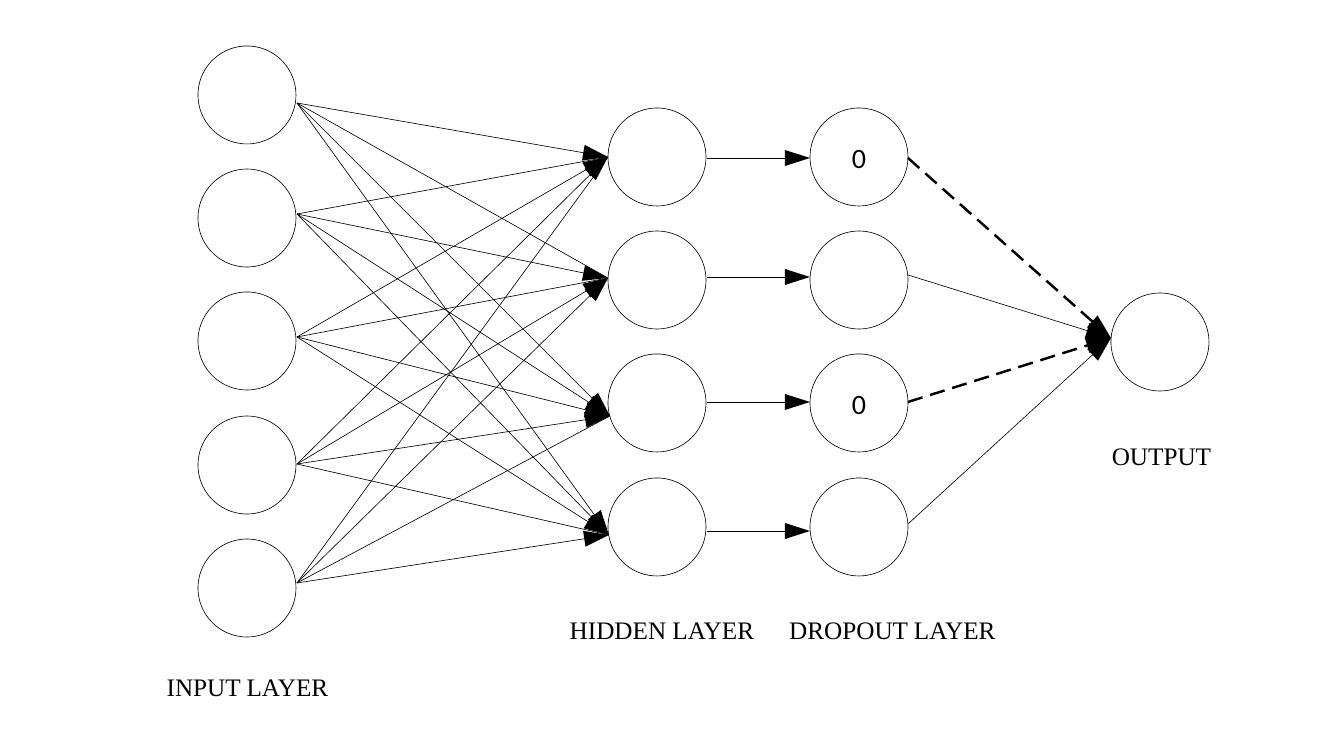
from math import hypot
from lxml import etree
from pptx import Presentation
from pptx.dml.color import RGBColor as RGB
from pptx.enum.shapes import MSO_CONNECTOR as LINK, MSO_SHAPE as SHAPE
from pptx.enum.text import MSO_ANCHOR as ANCHOR, PP_ALIGN as ALIGN
from pptx.oxml.ns import qn
from pptx.util import Emu, Pt

COLORS = {"ink": "000000", "paper": "FFFFFF"}
INK, PAPER = (RGB.from_string(COLORS[key]) for key in ("ink", "paper"))


def px(n):
    return Emu(round(n * 914400 / 100.8))


def write(shape, text, font, size):
    frame = shape.text_frame
    frame.margin_left = frame.margin_right = 0
    frame.margin_top = frame.margin_bottom = 0
    frame.word_wrap = False
    frame.text = text
    para = frame.paragraphs[0]
    para.alignment = ALIGN.CENTER
    face = para.runs[0].font
    face.name, face.size, face.color.rgb = font, Pt(size), INK


deck = Presentation()
deck.slide_width, deck.slide_height = px(1344), px(756)
shapes = deck.slides.add_slide(deck.slide_layouts[6]).shapes

# Neurons: left, first top and texts of each layer
SIZE = 98
layers = [
    (198, 46, [""] * 5),
    (608, 108, [""] * 4),
    (810, 108, ["0", "", "0", ""]),
    (1111, 293, [""]),
]
for left, top, texts in layers:
    for i, text in enumerate(texts):
        node = shapes.add_shape(SHAPE.OVAL, px(left), px(top + 370 * i // 3), px(SIZE), px(SIZE))
        node.shadow.inherit = False
        node.fill.solid()
        node.fill.fore_color.rgb = PAPER
        node.line.color.rgb = INK
        node.line.width = Pt(0.45)
        if text:
            write(node, text, "Calibri", 20)
            node.text_frame.vertical_anchor = ANCHOR.MIDDLE

# Links: start, tip, whether headed, whether dashed
starts = [103, 214, 337, 464, 583]
tips = [(608, 157), (608, 278), (610, 416), (609, 535)]
bare = {(1, 0), (4, 0), (0, 1), (2, 1), (4, 2), (1, 3), (3, 3)}
links = [
    ((297, y), tip, (i, j) not in bare, False)
    for i, y in enumerate(starts)
    for j, tip in enumerate(tips)
]
links += [((707, y), (810, y), True, False) for y in (158, 277, 402, 531)]
links += [
    ((908, y), (1111, 338), True, dashed)
    for y, dashed in ((158, True), (275, False), (402, True), (524, False))
]

HEAD, HALF, STOP = 25, 8, 23
for (x1, y1), (x2, y2), headed, dashed in links:
    span = hypot(x2 - x1, y2 - y1)
    ux, uy = (x2 - x1) / span, (y2 - y1) / span
    cut = STOP if headed else 0
    line = shapes.add_connector(
        LINK.STRAIGHT, px(x1), px(y1), px(x2 - cut * ux), px(y2 - cut * uy)
    )
    line.line.color.rgb = INK
    line.line.width = Pt(1.75 if dashed else 0.45)
    etree.SubElement(line._element.spPr, qn("a:effectLst"))
    if dashed:
        dash = etree.SubElement(line.line._ln, qn("a:custDash"))
        etree.SubElement(dash, qn("a:ds"), d="620000", sp="320000")
    if headed:
        bx, by = x2 - HEAD * ux, y2 - HEAD * uy
        wx, wy = HALF * uy, HALF * ux
        path = shapes.build_freeform(px(x2), px(y2))
        path.add_line_segments([(px(bx + wx), px(by - wy)), (px(bx - wx), px(by + wy))])
        head = path.convert_to_shape()
        head.shadow.inherit = False
        head.fill.solid()
        head.fill.fore_color.rgb = INK
        head.line.fill.background()

# Layer names
for left, top, width, text in [
    (166, 671, 163, "INPUT LAYER"),
    (569, 614, 186, "HIDDEN LAYER"),
    (788, 614, 209, "DROPOUT LAYER"),
    (1111, 440, 101, "OUTPUT"),
]:
    label = shapes.add_textbox(px(left), px(top), px(width), px(30))
    write(label, text, "Times New Roman", 18)

deck.save("out.pptx")
